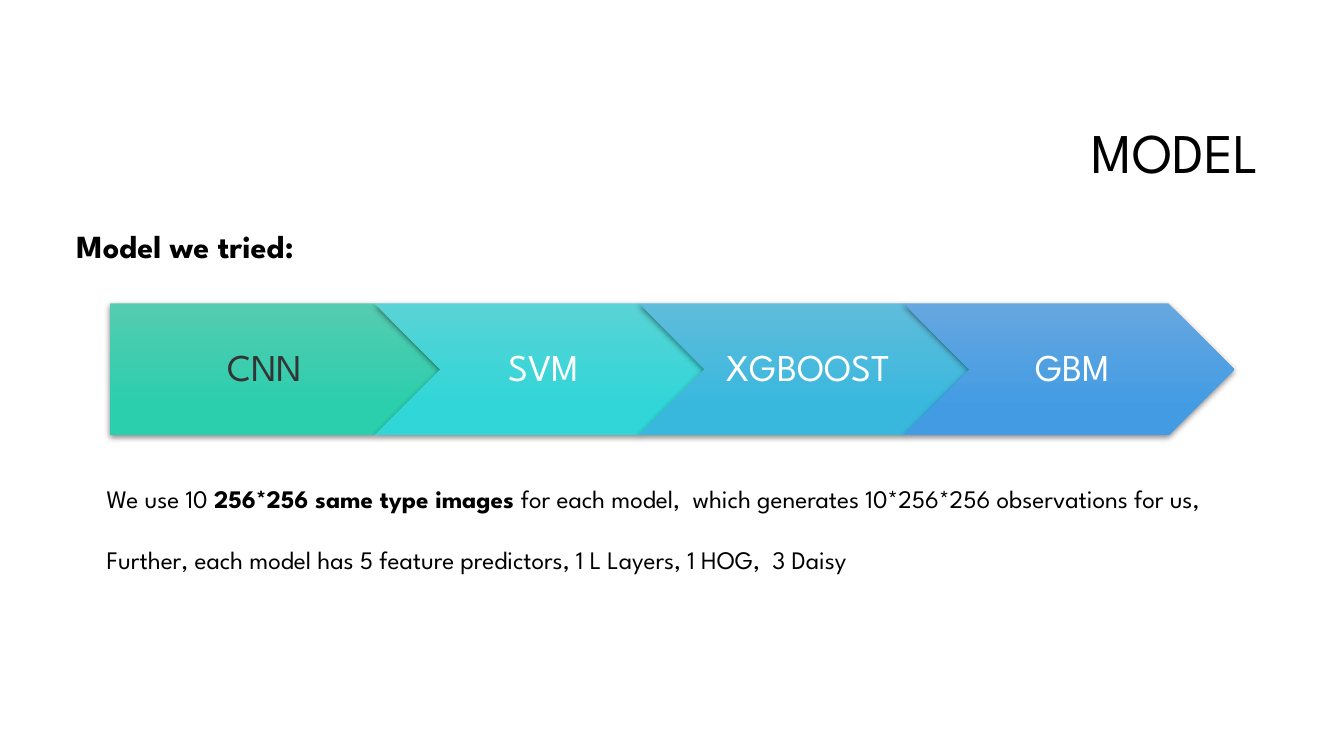
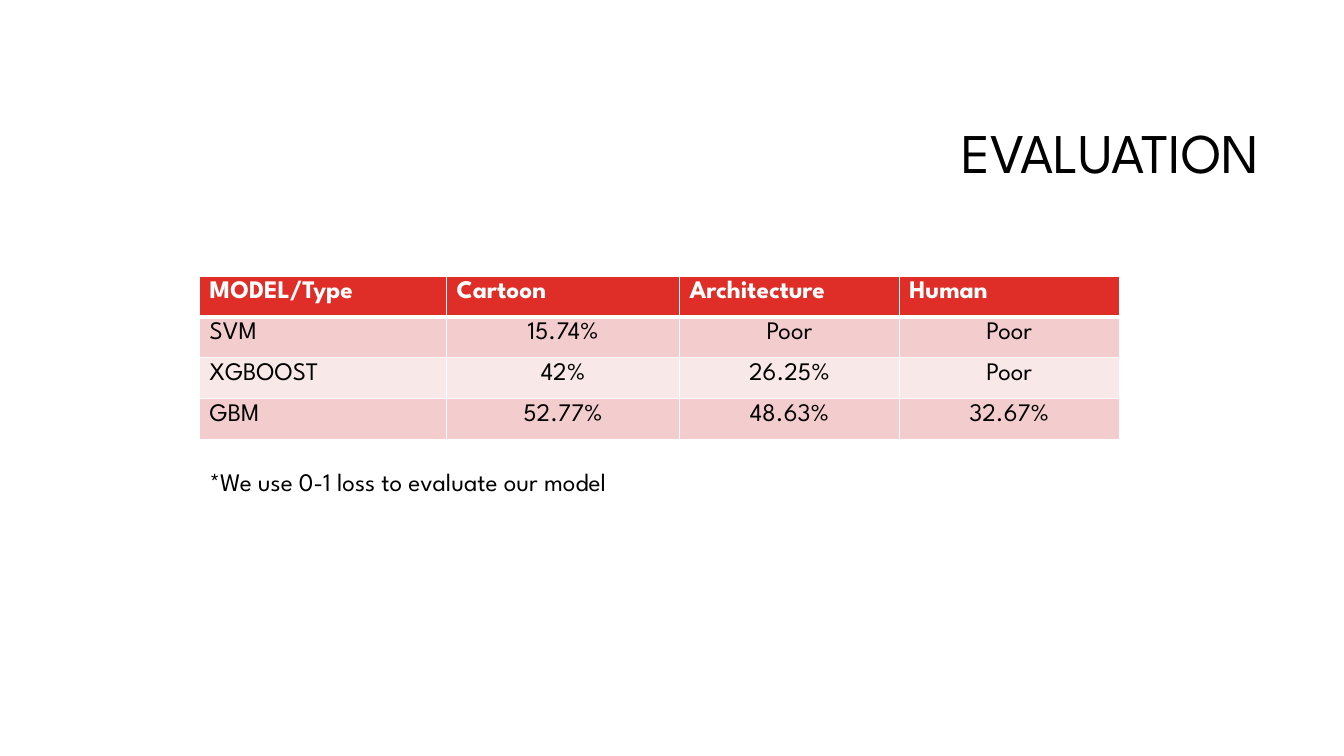
from dataclasses import dataclass

from lxml import etree
from pptx import Presentation
from pptx import util as u
from pptx.dml.color import RGBColor
from pptx.enum import shapes, text
from pptx.oxml import parse_xml
from pptx.oxml.ns import nsdecls, qn

FONT = "League Spartan"
COLORS = {
    "black": "000000", "white": "FFFFFF", "charcoal": "343434",
    "header": "DF2E28", "band": "F3CDCD", "light": "F9E8E8",
}
TITLE_ONLY = 5
LEFT, CENTER, RIGHT = text.PP_ALIGN.LEFT, text.PP_ALIGN.CENTER, text.PP_ALIGN.RIGHT


@dataclass
class Span:
    words: str
    bold: bool = False


@dataclass
class Step:
    name: str
    top_color: str
    base_color: str
    text_color: str = "white"


STEPS = [
    Step("CNN", "55CCB1", "2BCEAD", "charcoal"),
    Step("SVM", "59D3D5", "30D6D8"),
    Step("XGBOOST", "5FBCDB", "39B8DE"),
    Step("GBM", "66A7E0", "439CE3"),
]
RESULTS = [
    ["MODEL/Type", "Cartoon", "Architecture", "Human"],
    ["SVM", "15.74%", "Poor", "Poor"],
    ["XGBOOST", "42%", "26.25%", "Poor"],
    ["GBM", "52.77%", "48.63%", "32.67%"],
]


# Shared text helpers
def write(para, spans: list[Span], size: float, color: str = "black", align=LEFT) -> None:
    para.alignment = align
    for span in spans:
        run = para.add_run()
        run.text = span.words
        run.font.name = FONT
        run.font.size = u.Pt(size)
        run.font.bold = span.bold
        run.font.color.rgb = RGBColor.from_string(COLORS[color])


def add_titled_page(deck, title: str):
    page = deck.slides.add_slide(deck.slide_layouts[TITLE_ONLY])
    box = page.shapes.title
    box.left, box.top = u.Inches(3.17), u.Inches(0.84)
    box.width, box.height = u.Inches(9.42), u.Inches(1.41)
    box.text_frame.vertical_anchor = text.MSO_ANCHOR.MIDDLE
    para = box.text_frame.paragraphs[0]
    para.line_spacing = 0.9
    write(para, [Span(title)], 40, align=RIGHT)
    return page


def add_text(page, left: float, top: float, width: float, height: float,
             paragraphs: list[list[Span]], size: float, gap: float = 0) -> None:
    box = page.shapes.add_textbox(*map(u.Inches, (left, top, width, height)))
    frame = box.text_frame
    frame.word_wrap = True
    frame.auto_size = text.MSO_AUTO_SIZE.SHAPE_TO_FIT_TEXT
    for index, spans in enumerate(paragraphs):
        para = frame.add_paragraph() if index else frame.paragraphs[0]
        if index:
            para.space_before = u.Pt(gap)
        write(para, spans, size)


# Process arrows
def add_shadow(shape) -> None:
    shape.shadow.inherit = False
    effects = shape._element.spPr.find(qn("a:effectLst"))
    effects.append(parse_xml(
        f'<a:outerShdw {nsdecls("a")} blurRad="{u.Pt(4.5)}" dist="{u.Pt(1.5)}" '
        f'dir="5400000" rotWithShape="0"><a:srgbClr val="{COLORS["black"]}">'
        '<a:alpha val="48000"/></a:srgbClr></a:outerShdw>'))


def add_step(page, index: int, step: Step) -> None:
    kind = shapes.MSO_SHAPE.CHEVRON if index else shapes.MSO_SHAPE.PENTAGON
    width, height = 3.28, 1.31
    pitch = width * 0.8
    arrow = page.shapes.add_shape(
        kind, *map(u.Inches, (1.09 + index * pitch, 3.01, width, height)))
    arrow.line.fill.background()
    arrow.fill.gradient()
    arrow.fill.gradient_angle = 270
    colors = (step.top_color, step.base_color)
    for stop, position, color in zip(arrow.fill.gradient_stops, (0, 0.78), colors):
        stop.position = position
        stop.color.rgb = RGBColor.from_string(color)
    add_shadow(arrow)

    frame = arrow.text_frame
    frame.word_wrap = True
    frame.vertical_anchor = text.MSO_ANCHOR.MIDDLE
    frame.margin_left = u.Inches(0.12 if index else 0.16)
    frame.margin_right = u.Inches(0.04)
    frame.margin_top = frame.margin_bottom = u.Inches(0.08)
    para = frame.paragraphs[0]
    para.line_spacing = 0.9
    write(para, [Span(step.name)], 27, step.text_color, CENTER)


# Results table
def add_borders(cell, bottom: float) -> None:
    properties = cell._tc.get_or_add_tcPr()
    sides = {"lnL": 1, "lnR": 1, "lnT": 1, "lnB": bottom}
    for index, (side, points) in enumerate(sides.items()):
        line = etree.Element(qn(f"a:{side}"), w=str(u.Pt(points)))
        fill = etree.SubElement(line, qn("a:solidFill"))
        etree.SubElement(fill, qn("a:srgbClr"), val=COLORS["white"])
        properties.insert(index, line)


def add_results(page) -> None:
    widths = [2.45, 2.31, 2.18, 2.18]
    row_height = 0.405
    table = page.shapes.add_table(
        len(RESULTS), len(widths), u.Inches(1.98), u.Inches(2.74),
        u.Inches(sum(widths)), u.Inches(row_height * len(RESULTS))).table
    for column, width in zip(table.columns, widths):
        column.width = u.Inches(width)
    for r, values in enumerate(RESULTS):
        header = r == 0
        fill = "header" if header else "band" if r % 2 else "light"
        for c, value in enumerate(values):
            cell = table.cell(r, c)
            cell.fill.solid()
            cell.fill.fore_color.rgb = RGBColor.from_string(COLORS[fill])
            # The header row has a heavier rule beneath it
            add_borders(cell, 3 if r == 0 else 1)
            if r == 1:
                cell._tc.tcPr.find(qn("a:lnT")).set("w", str(u.Pt(3)))
            write(cell.text_frame.paragraphs[0], [Span(value, header)], 18,
                  "white" if header else "black",
                  CENTER if r and c else LEFT)


# Slides
def add_model_page(deck) -> None:
    page = add_titled_page(deck, "MODEL")
    for index, step in enumerate(STEPS):
        add_step(page, index, step)
    add_text(page, 0.66, 2.2, 3.02, 0.49, [[Span("Model we tried:", True)]], 23)
    add_text(page, 0.96, 4.75, 11.56, 1.31, [
        [Span("We use 10 "),
         Span("256*256 same type images ", True),
         Span("for each model,  which generates 10*256*256 observations for us,")],
        [Span("Further, each model has 5 feature predictors, 1 L Layers, 1 HOG,  3 Daisy")],
    ], 18, gap=21.5)


def add_evaluation_page(deck) -> None:
    page = add_titled_page(deck, "EVALUATION")
    add_results(page)
    add_text(page, 1.98, 4.58, 5.54, 0.4,
             [[Span("*We use 0-1 loss to evaluate our model")]], 18)


def main() -> None:
    deck = Presentation()
    deck.slide_width, deck.slide_height = u.Inches(13.33), u.Inches(7.5)
    add_model_page(deck)
    add_evaluation_page(deck)
    deck.save("out.pptx")


if __name__ == "__main__":
    main()
